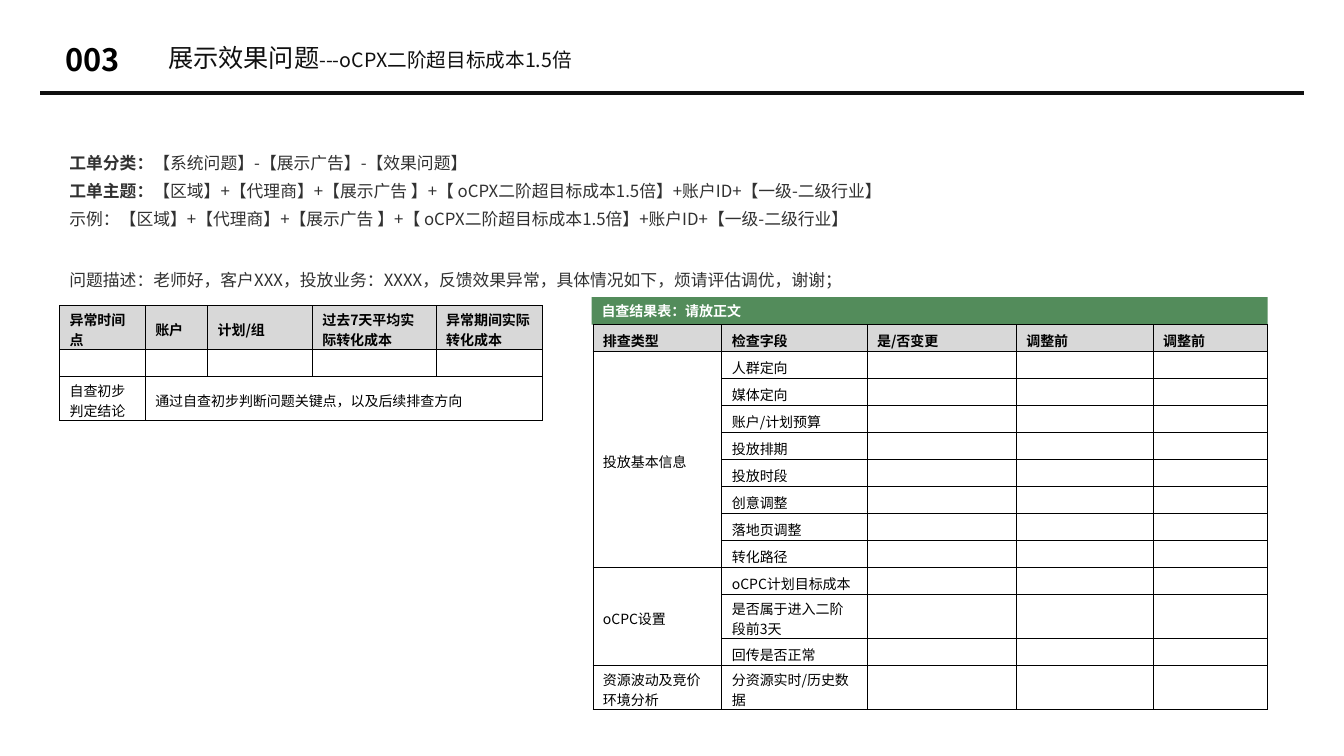
from dataclasses import dataclass

from lxml import etree
from pptx import Presentation
from pptx.dml.color import RGBColor
from pptx.enum.shapes import MSO_CONNECTOR, MSO_SHAPE
from pptx.enum.text import MSO_ANCHOR, PP_ALIGN
from pptx.oxml import parse_xml
from pptx.oxml.ns import nsdecls, qn
from pptx.util import Cm, Pt

STRAIGHT = MSO_CONNECTOR.STRAIGHT
RECTANGLE = MSO_SHAPE.RECTANGLE
TOP, MIDDLE, BOTTOM = MSO_ANCHOR.TOP, MSO_ANCHOR.MIDDLE, MSO_ANCHOR.BOTTOM
LEFT = PP_ALIGN.LEFT


@dataclass(frozen=True)
class Theme:
    """Colours, font and type sizes of the page."""
    font: str = "Noto Sans CJK SC"
    ink: str = "101010"
    black: str = "000000"
    body: str = "313131"
    white: str = "FFFFFF"
    green: str = "538C5B"
    grey: str = "D8D8D8"
    number_size: int = 22
    title_size: int = 18
    subtitle_size: int = 14
    body_size: int = 12
    table_size: int = 10


THEME = Theme()
ROW, TALL_ROW = 0.68, 1.11
SUBJECT = "【区域】+【代理商】+【展示广告 】+【 oCPX二阶超目标成本1.5倍】+账户ID+【一级-二级行业】"
DETAILS = [
    ("工单分类：", "【系统问题】-【展示广告】-【效果问题】"),
    ("工单主题：", SUBJECT),
    ("", "示例：" + SUBJECT),
]
DESCRIPTION = "问题描述：老师好，客户XXX，投放业务：XXXX，反馈效果异常，具体情况如下，烦请评估调优，谢谢；"
COST_ROWS = [
    ["异常时间点", "账户", "计划/组", "过去7天平均实际转化成本", "异常期间实际转化成本"],
    [],
    ["自查初步判定结论", "通过自查初步判断问题关键点，以及后续排查方向"],
]
CHECK_HEADER = ["排查类型", "检查字段", "是/否变更", "调整前", "调整前"]
CHECK_GROUPS = {
    "投放基本信息": ["人群定向", "媒体定向", "账户/计划预算", "投放排期",
               "投放时段", "创意调整", "落地页调整", "转化路径"],
    "oCPC设置": ["oCPC计划目标成本", "是否属于进入二阶段前3天", "回传是否正常"],
    "资源波动及竞价环境分析": ["分资源实时/历史数据"],
}


def style(para, size, color, bold=None):
    """Set the font of a whole paragraph."""
    font = para.font
    font.name, font.size, font.bold = THEME.font, Pt(size), bold
    font.color.rgb = RGBColor.from_string(color)
    defaults = para._p.pPr.find(qn("a:defRPr"))
    etree.SubElement(defaults, qn("a:ea"), typeface=THEME.font)


def add_span(para, text, size=None, bold=None):
    """Append a run to a paragraph."""
    span = para.add_run()
    span.text = text
    if size:
        span.font.size = Pt(size)
    if bold:
        span.font.bold = True


def add_text_box(page, box, anchor=TOP, inset=True):
    """Add a wrapping text box and return its text frame."""
    frame = page.shapes.add_textbox(*map(Cm, box)).text_frame
    frame.word_wrap, frame.vertical_anchor = True, anchor
    if not inset:
        frame.margin_left = frame.margin_right = 0
        frame.margin_top = frame.margin_bottom = 0
    return frame


def add_header(page, box):
    """Draw the number, the title and the rule below them."""
    left, top, width, height = box
    number = add_text_box(page, (left + 0.63, top, 1.7, 0.94), MIDDLE, False).paragraphs[0]
    add_span(number, "003")
    style(number, THEME.number_size, THEME.black, True)
    title = add_text_box(page, (left + 3.22, top + 0.12, 22.68, 0.69), MIDDLE, False).paragraphs[0]
    title.line_spacing = 0.9
    add_span(title, "展示效果问题", THEME.title_size)
    add_span(title, "---oCPX二阶超目标成本1.5倍", THEME.subtitle_size)
    style(title, THEME.title_size, THEME.ink)
    bottom = Cm(top + height)
    rule = page.shapes.add_connector(STRAIGHT, Cm(left), bottom, Cm(left + width), bottom)
    rule.line.color.rgb = RGBColor.from_string(THEME.ink)
    rule.line.width = Pt(3)
    etree.SubElement(rule._element.spPr, qn("a:effectLst"))


def add_details(page, box):
    """Write the ticket category and subject, then the description."""
    left, top, width, height = box
    frame = add_text_box(page, box)
    for index, (label, text) in enumerate(DETAILS):
        para = frame.add_paragraph() if index else frame.paragraphs[0]
        para.line_spacing = Pt(20)
        if label:
            add_span(para, label, bold=True)
        add_span(para, text)
        style(para, THEME.body_size, THEME.body)
    para = add_text_box(page, (left, top + 2.9, 25.32, 0.94)).paragraphs[0]
    para.line_spacing = 1.5
    add_span(para, DESCRIPTION)
    style(para, THEME.body_size, THEME.body)


def dress_cell(cell, text, header):
    """Fill, border and write one table cell."""
    properties = cell._tc.get_or_add_tcPr()
    for side in ("lnL", "lnR", "lnT", "lnB"):
        properties.append(parse_xml(
            f'<a:{side} {nsdecls("a")} w="6350"><a:solidFill>'
            f'<a:srgbClr val="{THEME.black}"/></a:solidFill></a:{side}>'))
    if header:
        cell.fill.solid()
        cell.fill.fore_color.rgb = RGBColor.from_string(THEME.grey)
    else:
        cell.fill.background()
    cell.vertical_anchor = MIDDLE
    cell.margin_top, cell.margin_bottom = Cm(0.1), 0
    para = cell.text_frame.paragraphs[0]
    if text:
        add_span(para, text)
    style(para, THEME.table_size, THEME.black, header)
    if not text:
        etree.SubElement(para._p, qn("a:endParaRPr"), sz=str(THEME.table_size * 100))


def add_grid(page, box, widths, heights, rows):
    """Add a bordered table with a grey header row."""
    frame = page.shapes.add_table(len(heights), len(widths), *map(Cm, box))
    table = frame.table
    table.first_row = table.horz_banding = False
    for column, width in zip(table.columns, widths):
        column.width = Cm(width)
    for row, height in zip(table.rows, heights):
        row.height = Cm(height)
    for row_index, texts in enumerate(rows):
        padded = texts + [""] * (len(widths) - len(texts))
        for column_index, text in enumerate(padded):
            dress_cell(table.cell(row_index, column_index), text, row_index == 0)
    return table


def add_cost_table(page, box):
    """Add the cost table with its merged conclusion."""
    widths = [2.16, 1.57, 2.64, 3.12, 2.67]
    table = add_grid(page, box, widths, [TALL_ROW, ROW, TALL_ROW], COST_ROWS)
    table.cell(0, 4).vertical_anchor = BOTTOM
    table.cell(2, 1).merge(table.cell(2, 4))


def add_check_table(page, box):
    """Add the green banner and the self-check table under it."""
    left, top, width, height = box
    banner_height = 0.69
    banner = page.shapes.add_shape(RECTANGLE, *map(Cm, (left, top, width, banner_height)))
    banner.shadow.inherit = False
    banner.fill.solid()
    banner.fill.fore_color.rgb = RGBColor.from_string(THEME.green)
    banner.line.fill.background()
    banner.text_frame.vertical_anchor = TOP
    para = banner.text_frame.paragraphs[0]
    para.alignment = LEFT
    add_span(para, "自查结果表：请放正文")
    style(para, THEME.table_size, THEME.white, True)
    rows, groups = [CHECK_HEADER], []
    for group, fields in CHECK_GROUPS.items():
        groups.append((len(rows), len(rows) + len(fields) - 1))
        rows += [["" if index else group, field] for index, field in enumerate(fields)]
    heights = [TALL_ROW if index in (10, 12) else ROW for index in range(len(rows))]
    table = add_grid(page, (left + 0.03, top + banner_height, width - 0.03, height - banner_height),
                     [3.25, 3.66, 3.76, 3.45, 2.87], heights, rows)
    for first, last in groups:
        if last > first:
            table.cell(first, 0).merge(table.cell(last, 0))


def main():
    """Build the one-page deck."""
    deck = Presentation()
    deck.slide_width, deck.slide_height = Cm(33.87), Cm(19.05)
    page = deck.slides.add_slide(deck.slide_layouts[6])
    add_header(page, (1.02, 1.02, 31.85, 1.32))
    add_details(page, (1.5, 3.53, 30.84, 3.02))
    add_cost_table(page, (1.5, 7.7, 12.16, 2.9))
    add_check_table(page, (14.91, 7.49, 17.04, 10.39))
    deck.save("out.pptx")


if __name__ == "__main__":
    main()
